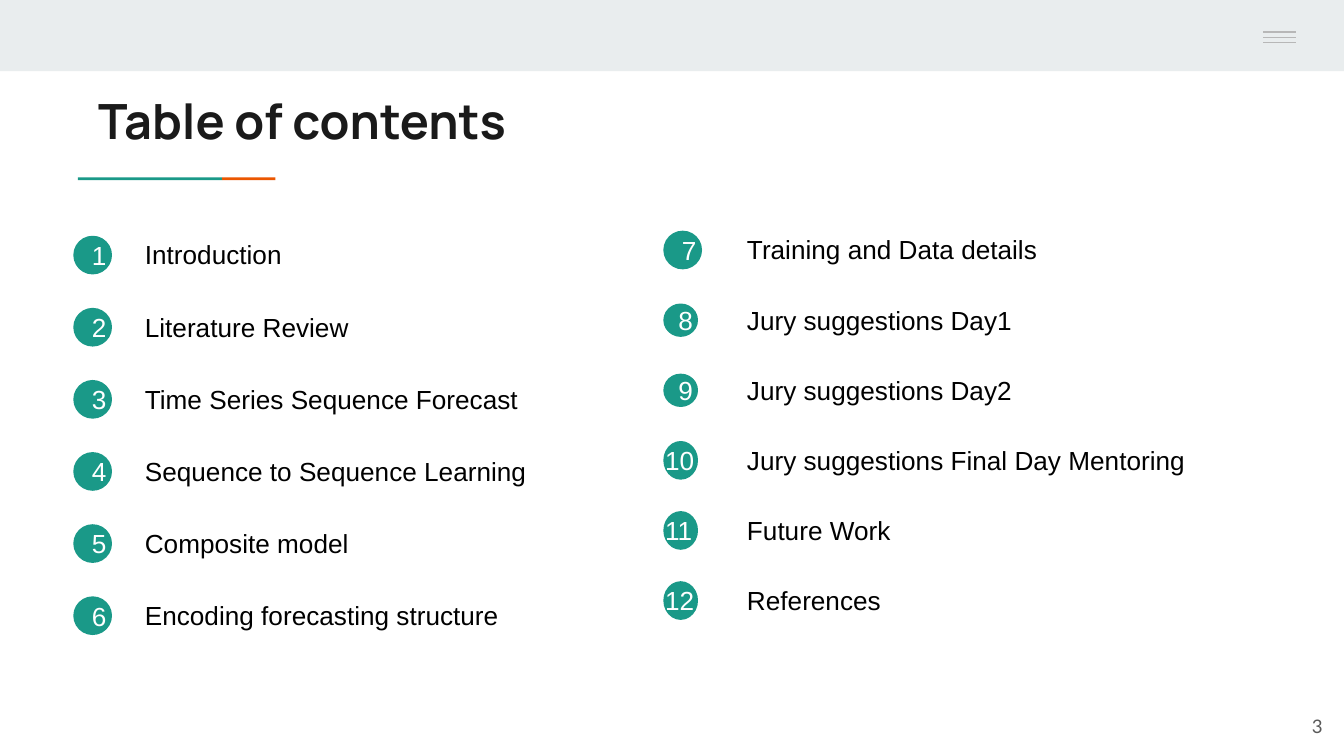
from lxml.etree import SubElement
from pptx import Presentation
from pptx.dml.color import RGBColor
from pptx.enum.shapes import MSO_CONNECTOR, MSO_SHAPE
from pptx.enum.text import MSO_ANCHOR, MSO_AUTO_SIZE, PP_ALIGN
from pptx.oxml.ns import qn
from pptx.util import Inches, Pt

WIDTH = 10
HEIGHT = WIDTH * 9 / 16
TEAL = RGBColor(0x1A, 0x99, 0x88)
ORANGE = RGBColor(0xEB, 0x56, 0x00)
BAND = RGBColor(0xE9, 0xED, 0xEE)
MENU = RGBColor(0xB7, 0xB7, 0xB7)
INK = RGBColor(0x1A, 0x1A, 0x1A)
GREY = RGBColor(0x59, 0x59, 0x59)
BLACK = RGBColor(0, 0, 0)
WHITE = RGBColor(0xFF, 0xFF, 0xFF)

ROUND, SMALL, NARROW = (0.26, 0.26), (0.23, 0.22), (0.23, 0.26)
LABEL_HEIGHT = 0.34

FIRST_HALF = [
    ("Introduction", ROUND),
    ("Literature Review", ROUND),
    ("Time Series Sequence Forecast", ROUND),
    ("Sequence to Sequence Learning", ROUND),
    ("Composite model", ROUND),
    ("Encoding forecasting structure", ROUND),
]
SECOND_HALF = [
    ("Training and Data details", ROUND),
    ("Jury suggestions Day1", SMALL),
    ("Jury suggestions Day2", SMALL),
    ("Jury suggestions Final Day Mentoring", NARROW),
    ("Future Work", NARROW),
    ("References", NARROW),
]


def inches(*lengths):
    return [Inches(length) for length in lengths]


def add_span(para, text, size, font, color, bold=False):
    span = para.add_run()
    span.text = text
    span.font.size = Pt(size)
    span.font.name = font
    span.font.bold = bold
    span.font.color.rgb = color


def add_filled(page, kind, box, color):
    shape = page.shapes.add_shape(kind, *inches(*box))
    shape.shadow.inherit = False
    shape.fill.solid()
    shape.fill.fore_color.rgb = color
    shape.line.fill.background()
    return shape


def add_label(page, box, text, color):
    label = page.shapes.add_textbox(*inches(*box))
    frame = label.text_frame
    frame.word_wrap = True
    frame.auto_size = MSO_AUTO_SIZE.SHAPE_TO_FIT_TEXT
    add_span(frame.paragraphs[0], text, 14, "Arial", color)


def add_header(page, box):
    left, top, width, height = box
    add_filled(page, MSO_SHAPE.RECTANGLE, box, BAND)
    for row in range(3):
        y = top + height * 0.45 + row * 0.04
        line = page.shapes.add_connector(
            MSO_CONNECTOR.STRAIGHT,
            *inches(left + width * 0.94, y, left + width * 0.964, y))
        line.line.color.rgb = MENU
        line.line.width = Pt(0.75)
        SubElement(line._element.spPr, qn("a:effectLst"))


def add_title(page, box):
    title = page.shapes.title
    title.left, title.top, title.width, title.height = inches(*box)
    frame = title.text_frame
    frame.word_wrap = True
    frame.auto_size = MSO_AUTO_SIZE.NONE
    frame.vertical_anchor = MSO_ANCHOR.TOP
    frame.margin_left = frame.margin_right = Inches(0.1)
    frame.margin_top = frame.margin_bottom = Inches(0.1)
    para = frame.paragraphs[0]
    para.alignment = PP_ALIGN.LEFT
    add_span(para, "Table of contents", 26, "Manrope", INK, bold=True)


def add_underline(page, box):
    left, top, width, height = box
    split = width * 0.73
    add_filled(page, MSO_SHAPE.RECTANGLE, (left, top, split, height), TEAL)
    add_filled(page, MSO_SHAPE.RECTANGLE,
               (left + split, top, width - split, height), ORANGE)


def add_badge(page, left, middle, size, number):
    width, height = size
    box = (left, middle - height / 2, width, height)
    badge = add_filled(page, MSO_SHAPE.OVAL, box, TEAL)
    badge.line.color.rgb = TEAL
    badge.line.width = Pt(2)
    if number < 10:
        frame = badge.text_frame
        frame.vertical_anchor = MSO_ANCHOR.MIDDLE
        para = frame.paragraphs[0]
        para.alignment = PP_ALIGN.CENTER
        add_span(para, str(number), 14, "Arial", WHITE)
    else:
        number_box = (left - 0.1, middle - LABEL_HEIGHT / 2, 0.42, LABEL_HEIGHT)
        add_label(page, number_box, str(number), WHITE)


def add_contents(page, box, entries, first_number, indent):
    left, top, width, height = box
    row_height = height / len(entries)
    for row, (text, size) in enumerate(entries):
        middle = top + row_height * (row + 0.5)
        add_badge(page, left, middle, size, first_number + row)
        label_box = (left + indent, middle - LABEL_HEIGHT / 2,
                     width - indent, LABEL_HEIGHT)
        add_label(page, label_box, text, BLACK)


def add_page_number(page, box):
    number = page.shapes.add_textbox(*inches(*box))
    frame = number.text_frame
    frame.word_wrap = True
    frame.vertical_anchor = MSO_ANCHOR.MIDDLE
    para = frame.paragraphs[0]
    para.alignment = PP_ALIGN.RIGHT
    add_span(para, "3", 10, "Lato", GREY)


def main():
    deck = Presentation()
    deck.slide_width, deck.slide_height = inches(WIDTH, HEIGHT)
    page = deck.slides.add_slide(deck.slide_layouts[5])
    add_header(page, (0, 0, WIDTH, 0.53))
    add_title(page, (0.63, 0.58, 8.41, 0.59))
    add_underline(page, (0.58, 1.32, 1.47, 0.02))
    add_contents(page, (0.56, 1.63, 3.62, 3.22), FIRST_HALF, 1, 0.42)
    add_contents(page, (4.95, 1.6, 4.58, 3.13), SECOND_HALF, 7, 0.51)
    add_page_number(page, (9.34, 5.19, 0.6, 0.43))
    deck.save("out.pptx")


if __name__ == "__main__":
    main()
